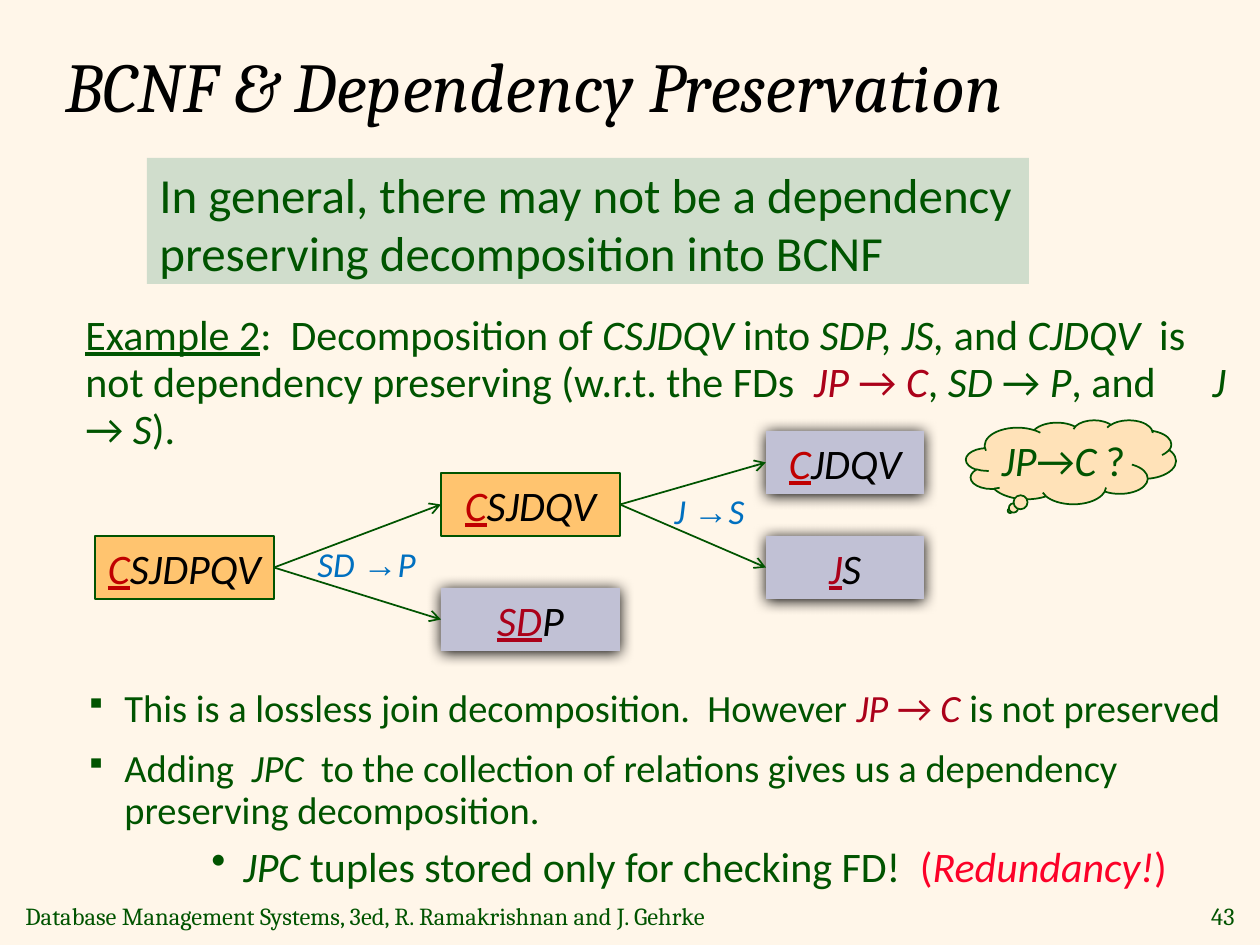
import dataclasses

import lxml.etree
import pptx
import pptx.dml.color
import pptx.enum.shapes
import pptx.enum.text
import pptx.oxml.ns
import pptx.util

SCALE = 914400 / 126
SHAPE = pptx.enum.shapes.MSO_SHAPE
ALIGN = pptx.enum.text.PP_ALIGN
ANCHOR = pptx.enum.text.MSO_ANCHOR


@dataclasses.dataclass(frozen=True)
class Theme:
    paper: str = "FFF6E9"
    green: str = "005400"
    black: str = "000000"
    crimson: str = "AB011A"
    key: str = "C00000"
    alert: str = "FC0128"
    blue: str = "0070C0"
    banner: str = "D0DDCC"
    split: str = "FFC46F"
    final: str = "C1C1D5"
    cloud: str = "FFE2B8"
    body: str = "Calibri"
    heading: str = "Cambria"
    arrow: str = "Times New Roman"
    title_size: int = 40
    banner_size: int = 28
    text_size: int = 24
    bullet_size: int = 22
    label_size: int = 20
    footer_size: int = 14


THEME = Theme()


def px(length):
    return round(length * SCALE)


def rgb(value):
    return pptx.dml.color.RGBColor.from_string(value)


def add_xml(parent, tag, **attributes):
    element = lxml.etree.SubElement(parent, pptx.oxml.ns.qn(tag))
    for name, value in attributes.items():
        element.set(name, str(value))
    return element


def write(paragraph, pieces, size, color=THEME.green, font=THEME.body):
    for text, marks, *change in pieces:
        run = paragraph.add_run()
        run.text = text
        run.font.size = pptx.util.Pt(size)
        run.font.italic = "i" in marks
        run.font.underline = "u" in marks
        run.font.name = THEME.arrow if "t" in marks else font
        run.font.color.rgb = rgb(change[0] if change else color)


def text_area(slide, box, wrap=True, anchor=ANCHOR.TOP):
    frame = slide.shapes.add_textbox(*map(px, box)).text_frame
    frame.word_wrap = wrap
    frame.vertical_anchor = anchor
    return frame


def filled_shape(slide, kind, box, fill, outlined=False):
    shape = slide.shapes.add_shape(kind, *map(px, box))
    shape.shadow.inherit = False
    shape.fill.solid()
    shape.fill.fore_color.rgb = rgb(fill)
    if outlined:
        shape.line.color.rgb = rgb(THEME.green)
        shape.line.width = pptx.util.Pt(1)
    else:
        shape.line.fill.background()
    return shape


def add_title(slide, box):
    frame = text_area(slide, box, anchor=ANCHOR.MIDDLE)
    write(frame.paragraphs[0], [("BCNF & Dependency Preservation", "i")],
          THEME.title_size, THEME.black, THEME.heading)


def add_banner(slide, box):
    banner = filled_shape(slide, SHAPE.RECTANGLE, box, THEME.banner)
    banner.text_frame.vertical_anchor = ANCHOR.TOP
    claim = banner.text_frame.paragraphs[0]
    claim.alignment = ALIGN.LEFT
    write(claim, [("In general, there may not be a dependency preserving "
                   "decomposition into BCNF", "")], THEME.banner_size)


def add_example(slide, box):
    example = text_area(slide, box).paragraphs[0]
    tabs = add_xml(example._p.get_or_add_pPr(), "a:tabLst")
    add_xml(tabs, "a:tab", pos=px(box[2] - 39), algn="l")
    example.line_spacing = pptx.util.Pt(27)
    write(example, [
        ("Example 2", "u"), (":  Decomposition of ", ""), ("CSJDQV", "i"),
        (" into ", ""), ("SDP, JS, ", "i"), ("and ", ""), ("CJDQV", "i"),
        ("  is not dependency preserving (w.r.t. the FDs  ", ""),
        ("JP ", "i", THEME.crimson), ("→ ", "", THEME.crimson),
        ("C", "i", THEME.crimson), (", ", ""), ("SD ", "i"), ("→ ", ""),
        ("P", "i"), (", and\t", ""), ("J ", "i"), ("→ ", ""), ("S", "i"),
        (").", "")], THEME.text_size)


def add_relation(slide, box, key, rest, fill, key_color):
    final = fill == THEME.final
    relation = filled_shape(slide, SHAPE.RECTANGLE, box, fill, not final)
    if final:
        effects = relation._element.spPr.find(pptx.oxml.ns.qn("a:effectLst"))
        shadow = add_xml(effects, "a:outerShdw", blurRad=pptx.util.Pt(8.5),
                         dist=pptx.util.Pt(1), dir=5400000, rotWithShape=0)
        add_xml(shadow, "a:srgbClr", val=THEME.black)
    relation.text_frame.vertical_anchor = ANCHOR.MIDDLE
    name = relation.text_frame.paragraphs[0]
    name.alignment = ALIGN.CENTER
    write(name, [(key, "iu", key_color), (rest, "i", THEME.black)], THEME.text_size)
    return relation


def add_arrow(slide, parent, child):
    arrow = slide.shapes.add_connector(
        pptx.enum.shapes.MSO_CONNECTOR.STRAIGHT, 0, 0, 0, 0)
    arrow.begin_connect(parent, 3)
    arrow.end_connect(child, 1)
    arrow.line.color.rgb = rgb(THEME.green)
    arrow.line.width = pptx.util.Pt(1)
    add_xml(arrow.line._get_or_add_ln(), "a:tailEnd", type="arrow")
    add_xml(arrow._element.spPr, "a:effectLst")


def add_decomposition(slide, box):
    left, top, _, _ = box
    relations = {}
    for x, y, width, key, rest, fill, key_color in [
            (0, 116, 179, "C", "SJDPQV", THEME.split, THEME.key),
            (671, 116, 158, "J", "S", THEME.final, THEME.crimson),
            (346, 168, 179, "SD", "P", THEME.final, THEME.crimson),
            (346, 53, 179, "C", "SJDQV", THEME.split, THEME.key),
            (671, 11, 158, "C", "JDQV", THEME.final, THEME.key)]:
        relations[key + rest] = add_relation(
            slide, (left + x, top + y, width, 63), key, rest, fill, key_color)
    for parent, child in [("CSJDPQV", "CSJDQV"), ("CSJDPQV", "SDP"),
                          ("CSJDQV", "CJDQV"), ("CSJDQV", "JS")]:
        add_arrow(slide, relations[parent], relations[child])
    for x, y, width, source, target in [(210, 116, 125, "SD ", "P"),
                                        (567, 63, 96, "J ", "S")]:
        label = text_area(slide, (left + x, top + y, width, 55), wrap=False)
        write(label.paragraphs[0], [(source, "i"), ("→", "it"), (target, "i")],
              THEME.label_size, THEME.blue)
    add_question(slide, (left + 871, top, 210, 84))


def add_question(slide, box):
    cloud = filled_shape(slide, SHAPE.CLOUD_CALLOUT, box, THEME.cloud, True)
    cloud.adjustments[0] = -0.29
    cloud.adjustments[1] = 0.58
    frame = cloud.text_frame
    frame.margin_left = frame.margin_right = px(6)
    frame.vertical_anchor = ANCHOR.MIDDLE
    question = frame.paragraphs[0]
    question.alignment = ALIGN.CENTER
    write(question, [("JP", "i"), ("→", ""), ("C", "i"), (" ?", "")], THEME.text_size)


def add_conclusions(slide, box):
    frame = text_area(slide, box)
    conclusions = [
        ("▪", 75, 39, 39, 26, 0, 6, THEME.bullet_size, [
            ("This is a lossless join decomposition.  However ", ""),
            ("JP ", "i", THEME.crimson), ("→ ", "", THEME.crimson),
            ("C ", "i", THEME.crimson), ("is not preserved", "")]),
        ("▪", 75, 39, 39, 24, 4.4, 0, THEME.bullet_size, [
            ("Adding  ", ""), ("JPC ", "i"),
            (" to the collection of relations gives us a dependency "
             "preserving decomposition.", "")]),
        ("•", 100, 158, 32, None, 4.8, 0, THEME.text_size, [
            ("JPC", "i"), (" tuples stored only for checking FD!  ", ""),
            ("(", "", THEME.alert), ("Redundancy!", "i", THEME.alert),
            (")", "", THEME.alert)])]
    for index, (mark, percent, margin, hang, leading, before, after, size,
                pieces) in enumerate(conclusions):
        point = frame.add_paragraph() if index else frame.paragraphs[0]
        properties = point._p.get_or_add_pPr()
        properties.set("marL", str(px(margin)))
        properties.set("indent", str(-px(hang)))
        add_xml(add_xml(properties, "a:buClr"), "a:srgbClr", val=THEME.green)
        add_xml(properties, "a:buSzPct", val=percent * 1000)
        add_xml(properties, "a:buChar", char=mark)
        if leading:
            point.line_spacing = pptx.util.Pt(leading)
        point.space_before = pptx.util.Pt(before)
        point.space_after = pptx.util.Pt(after)
        write(point, pieces, size)


def add_footer(slide, box):
    left, top, width, height = box
    for x, part, text, alignment in [
            (left, 772, "Database Management Systems, 3ed, "
             "R. Ramakrishnan and J. Gehrke", ALIGN.LEFT),
            (left + width - 55, 55, "43", ALIGN.RIGHT)]:
        line = text_area(slide, (x, top, part, height),
                         anchor=ANCHOR.MIDDLE).paragraphs[0]
        line.alignment = alignment
        write(line, [(text, "")], THEME.footer_size, font=THEME.heading)


def main():
    deck = pptx.Presentation()
    deck.slide_width, deck.slide_height = px(1260), px(945)
    slide = deck.slides.add_slide(deck.slide_layouts[6])
    slide.background.fill.solid()
    slide.background.fill.fore_color.rgb = rgb(THEME.paper)
    add_footer(slide, (13, 895, 1234, 42))
    add_banner(slide, (147, 158, 882, 126))
    add_title(slide, (53, 32, 1071, 105))
    add_example(slide, (73, 305, 1166, 155))
    add_conclusions(slide, (73, 678, 1166, 222))
    add_decomposition(slide, (95, 420, 1081, 231))
    deck.save("out.pptx")


if __name__ == "__main__":
    main()
